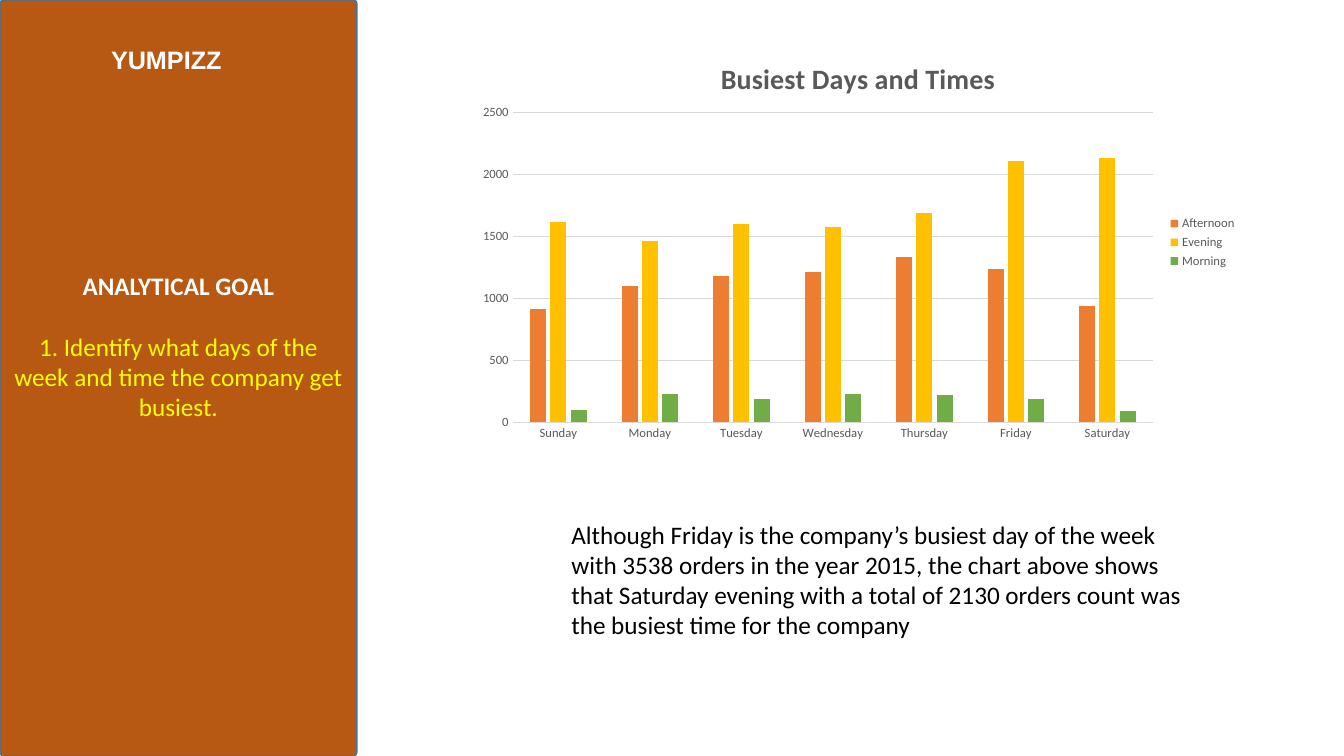
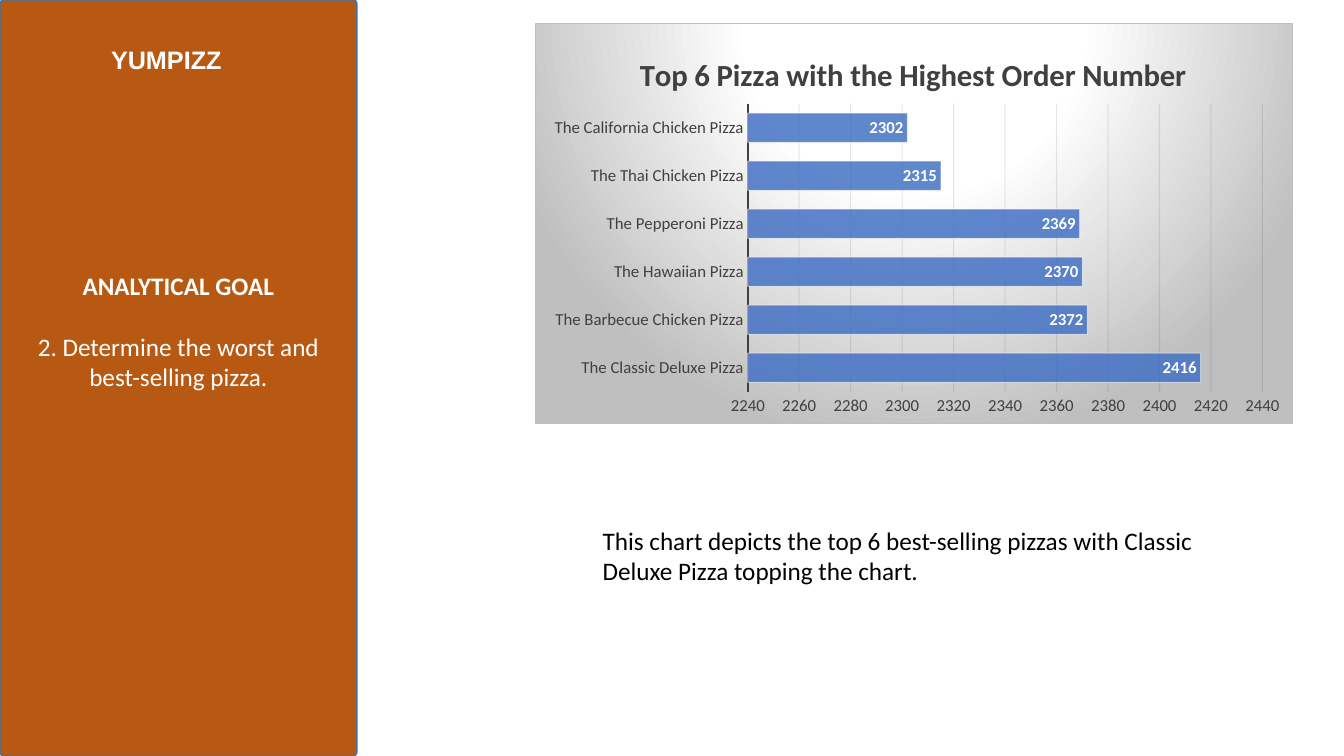
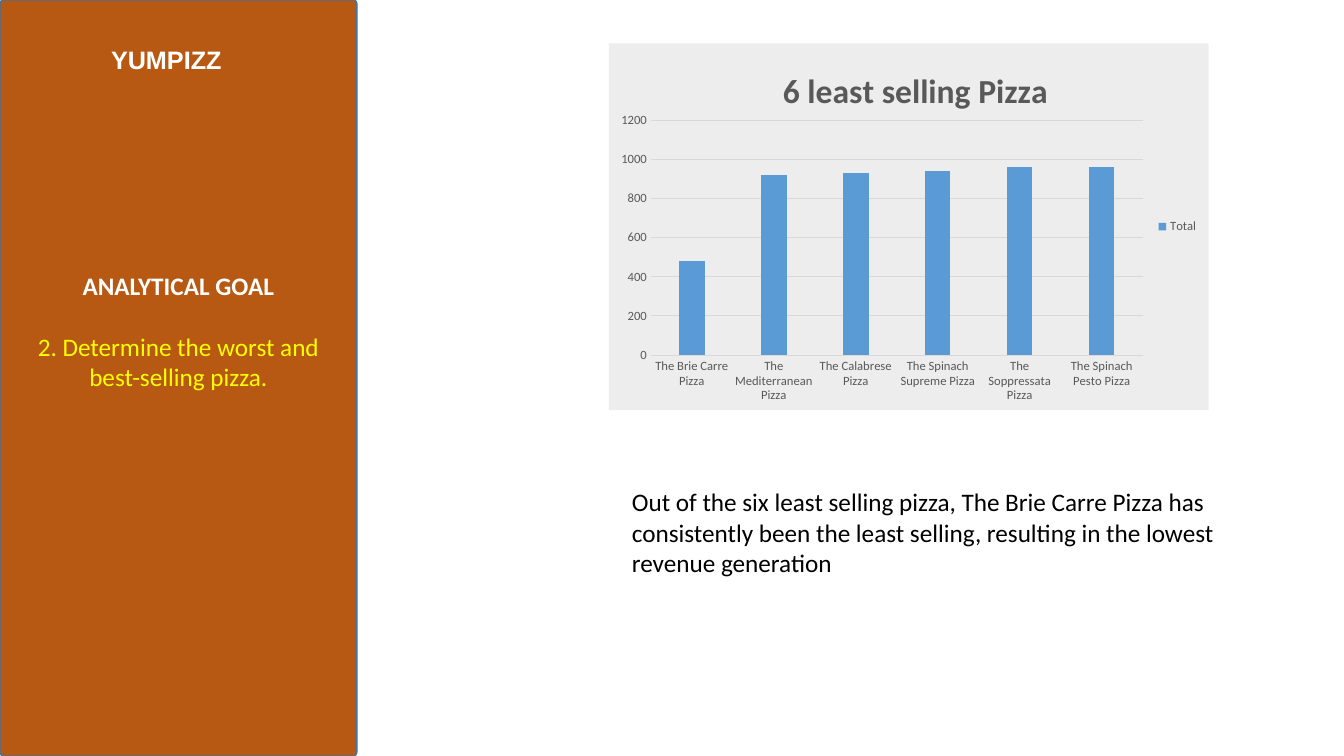
from lxml.etree import SubElement
from pptx import Presentation
from pptx.chart.data import CategoryChartData
from pptx.dml.color import RGBColor as RGB
from pptx.enum.chart import XL_CHART_TYPE as CT, XL_LABEL_POSITION as LP
from pptx.enum.chart import XL_LEGEND_POSITION as LEG, XL_TICK_MARK as TICK
from pptx.enum.shapes import MSO_SHAPE as SHAPE
from pptx.enum.text import MSO_ANCHOR as ANCHOR, PP_ALIGN as ALIGN
from pptx.oxml import parse_xml
from pptx.oxml.ns import nsdecls, qn
from pptx.util import Inches, Pt


class Theme:
    font, title_font = "Calibri", "Arial"
    panel, panel_line = "B75813", "43739E"
    white, black, yellow = "FFFFFF", "000000", "FFFF00"
    grey, dark, rule, silver = "595959", "404040", "D9D9D9", "BFBFBF"
    body, label = 18, 9


prs = Presentation()
prs.slide_width, prs.slide_height = Inches(13.333), Inches(7.5)


def area(x, y, w, h):
    """Turn percentages of the slide into a position and a size."""
    return [int(prs.slide_width * x / 100), int(prs.slide_height * y / 100),
            int(prs.slide_width * w / 100), int(prs.slide_height * h / 100)]


def write(p, text, size=Theme.body, color=Theme.black, bold=False,
          font=Theme.font, align=ALIGN.LEFT, before=0):
    p.alignment, p.space_before = align, Pt(before)
    r = p.add_run()
    r.text = text
    r.font.size, r.font.bold, r.font.name = Pt(size), bold, font
    r.font.color.rgb = RGB.from_string(color)


GRADIENT = (
    '<a:gradFill><a:gsLst>'
    + "".join(f'<a:gs pos="{pos}"><a:srgbClr val="{c}"/></a:gs>' for pos, c in
              ((0, Theme.white), (39000, Theme.white), (100000, Theme.silver)))
    + '</a:gsLst><a:path path="circle"><a:fillToRect l="50000" t="-80000" '
      'r="50000" b="180000"/></a:path></a:gradFill>')
SOLID = '<a:solidFill><a:srgbClr val="%s"/></a:solidFill>'
NONE = "<a:noFill/>"

# Slide contents; "plot" and "title_at" are shares of the chart
COLUMNS = dict(kind=CT.COLUMN_CLUSTERED, gap=219, overlap=-27, legend=True,
               size=Theme.label, color=Theme.grey, axis=(Theme.rule, .75),
               grid=Theme.rule, border=NONE)
slides = [
    dict(COLUMNS, goal="1. Identify what days of the week and time the company get busiest.",
         goal_color=Theme.yellow,
         caption="Although Friday is the company’s busiest day of the week with 3538 "
                 "orders in the year 2015, the chart above shows that Saturday evening "
                 "with a total of 2130 orders count was the busiest time for the company",
         caption_at=(41.78, 68, 47.63, 17.47), chart_at=(34.65, 4.4, 58.13, 55.33),
         title="Busiest Days and Times", title_size=20, title_at=(.32, .05),
         plot=(.06, .19, .82, .74), fill=NONE,
         cats=["Sunday", "Monday", "Tuesday", "Wednesday", "Thursday", "Friday", "Saturday"],
         series=[("Afternoon", "ED7D31", [910, 1100, 1180, 1210, 1330, 1240, 940]),
                 ("Evening", "FFC000", [1620, 1460, 1600, 1580, 1690, 2110, 2130]),
                 ("Morning", "70AD47", [100, 230, 190, 230, 220, 190, 90])],
         scale=(0, 2500, 500)),
    dict(goal="2. Determine the worst and best-selling pizza.", goal_color=Theme.white,
         caption="This chart depicts the top 6 best-selling pizzas with Classic Deluxe "
                 "Pizza topping the chart.",
         caption_at=(44.1, 68.8, 47.63, 9.47), chart_at=(39.83, 3.07, 56.4, 53.07),
         title="Top 6 Pizza with the Highest Order Number", title_size=22,
         title_at=(.13, .06), plot=(.28, .2, .68, .72), fill=GRADIENT,
         border=SOLID % Theme.silver, kind=CT.BAR_CLUSTERED, gap=65, overlap=0,
         legend=False, size=12, color=Theme.dark, axis=(Theme.dark, 1.5), grid="0D0D0D",
         cats=[f"The {name} Pizza" for name in
               ("Classic Deluxe", "Barbecue Chicken", "Hawaiian", "Pepperoni",
                "Thai Chicken", "California Chicken")],
         series=[("Series 1", "4472C4", [2416, 2372, 2370, 2369, 2315, 2302])],
         scale=(2240, 2440, 20)),
    dict(COLUMNS, goal="2. Determine the worst and best-selling pizza.",
         goal_color=Theme.yellow,
         caption="Out of the six least selling pizza, The Brie Carre Pizza has "
                 "consistently been the least selling, resulting in the lowest "
                 "revenue generation",
         caption_at=(46.28, 63.73, 47.63, 13.47), chart_at=(45.3, 5.73, 44.63, 48.53),
         title="6 least selling Pizza", title_size=24, title_at=(.28, .05),
         plot=(.07, .21, .82, .64), fill=SOLID % "EDEDED",
         cats=[f"The {name} Pizza" for name in
               ("Brie Carre", "Mediterranean", "Calabrese", "Spinach Supreme",
                "Soppressata", "Spinach Pesto")],
         series=[("Total", "5B9BD5", [480, 920, 930, 940, 960, 960])],
         scale=(0, 1200, 200)),
]

for d in slides:
    s = prs.slides.add_slide(prs.slide_layouts[5])

    # Side panel with the goal, behind the title
    panel = s.shapes.add_shape(SHAPE.ROUNDED_RECTANGLE, *area(0, 0, 26.55, 100))
    panel.adjustments[0] = .01
    panel.shadow.inherit = False
    panel.fill.solid()
    panel.fill.fore_color.rgb = RGB.from_string(Theme.panel)
    panel.line.color.rgb = RGB.from_string(Theme.panel_line)
    panel.line.width = Pt(1)
    tf = panel.text_frame
    tf.word_wrap, tf.vertical_anchor = True, ANCHOR.TOP
    tf.margin_top = area(0, 0, 0, 35.6)[3]
    write(tf.paragraphs[0], "ANALYTICAL GOAL", color=Theme.white, bold=True,
          align=ALIGN.CENTER)
    write(tf.add_paragraph(), d["goal"], color=d["goal_color"], align=ALIGN.CENTER,
          before=22)
    s.shapes.title.element.addprevious(panel.element)

    # Title
    title = s.shapes.title
    title.left, title.top, title.width, title.height = area(4.35, 4, 16.05, 7.6)
    title.text_frame.vertical_anchor = ANCHOR.MIDDLE
    write(title.text_frame.paragraphs[0], "YUMPIZZ", color=Theme.white, bold=True,
          font=Theme.title_font, align=ALIGN.CENTER)

    # Caption
    tf = s.shapes.add_textbox(*area(*d["caption_at"])).text_frame
    tf.word_wrap = True
    write(tf.paragraphs[0], d["caption"])

    # Chart
    data = CategoryChartData()
    data.categories = d["cats"]
    for name, _, values in d["series"]:
        data.add_series(name, values)
    chart = s.shapes.add_chart(d["kind"], *area(*d["chart_at"]), data).chart
    chart.font.name, chart.font.size = Theme.font, Pt(d["size"])
    chart.font.color.rgb = RGB.from_string(d["color"])
    chart.has_title = True
    write(chart.chart_title.text_frame.paragraphs[0], d["title"], size=d["title_size"],
          color=d["color"], bold=True, align=ALIGN.CENTER)
    chart.has_legend = d["legend"]
    if d["legend"]:
        chart.legend.position = LEG.RIGHT
        chart.legend.include_in_layout = False

    # Axes
    cat, val = chart.category_axis, chart.value_axis
    for axis in (cat, val):
        axis.major_tick_mark = axis.minor_tick_mark = TICK.NONE
    line_color, line_width = d["axis"]
    cat.format.line.color.rgb = RGB.from_string(line_color)
    cat.format.line.width = Pt(line_width)
    val.format.line.fill.background()
    val.minimum_scale, val.maximum_scale, val.major_unit = d["scale"]
    grid = val.major_gridlines.format.line
    grid.color.rgb, grid.width = RGB.from_string(d["grid"]), Pt(.75)

    # Series
    plot = chart.plots[0]
    plot.gap_width, plot.overlap, plot.vary_by_categories = d["gap"], d["overlap"], False
    for ser, (_, color, _) in zip(plot.series, d["series"]):
        ser.format.fill.solid()
        ser.format.fill.fore_color.rgb = RGB.from_string(color)

    # Translucent bars with values inside
    if d["kind"] == CT.BAR_CLUSTERED:
        ser.format.line.color.rgb = RGB.from_string(Theme.white)
        ser.format.line.width = Pt(.75)
        colors = [*ser._element.iter(qn("a:srgbClr")),
                  *val._element.find(qn("c:majorGridlines")).iter(qn("a:srgbClr"))]
        for clr, percent in zip(colors, (85, 50, 10)):
            SubElement(clr, qn("a:alpha"), val=str(percent * 1000))
        labels = ser.data_labels
        labels.show_value, labels.position = True, LP.INSIDE_END
        labels.font.size, labels.font.bold = Pt(d["size"]), True
        labels.font.name = Theme.font
        labels.font.color.rgb = RGB.from_string(Theme.white)

    # Chart background and places of its parts
    root = chart._chartSpace.find(qn("c:chart"))
    root.addnext(parse_xml(f'<c:spPr {nsdecls("c", "a")}>{d["fill"]}'
                           f'<a:ln w="9525">{d["border"]}</a:ln></c:spPr>'))
    for tag, index, place in (("c:title", 1, d["title_at"]), ("c:plotArea", 0, d["plot"])):
        part = root.find(qn(tag))
        layout = part.find(qn("c:layout"))
        if layout is not None:
            part.remove(layout)
        inner = '<c:layoutTarget val="inner"/>' if tag == "c:plotArea" else ""
        modes = '<c:xMode val="edge"/><c:yMode val="edge"/>'
        sizes = "".join(f'<c:{k} val="{v}"/>' for k, v in zip("xywh", place))
        part.insert(index, parse_xml(
            f'<c:layout {nsdecls("c")}><c:manualLayout>{inner}{modes}{sizes}'
            '</c:manualLayout></c:layout>'))

prs.save("out.pptx")
